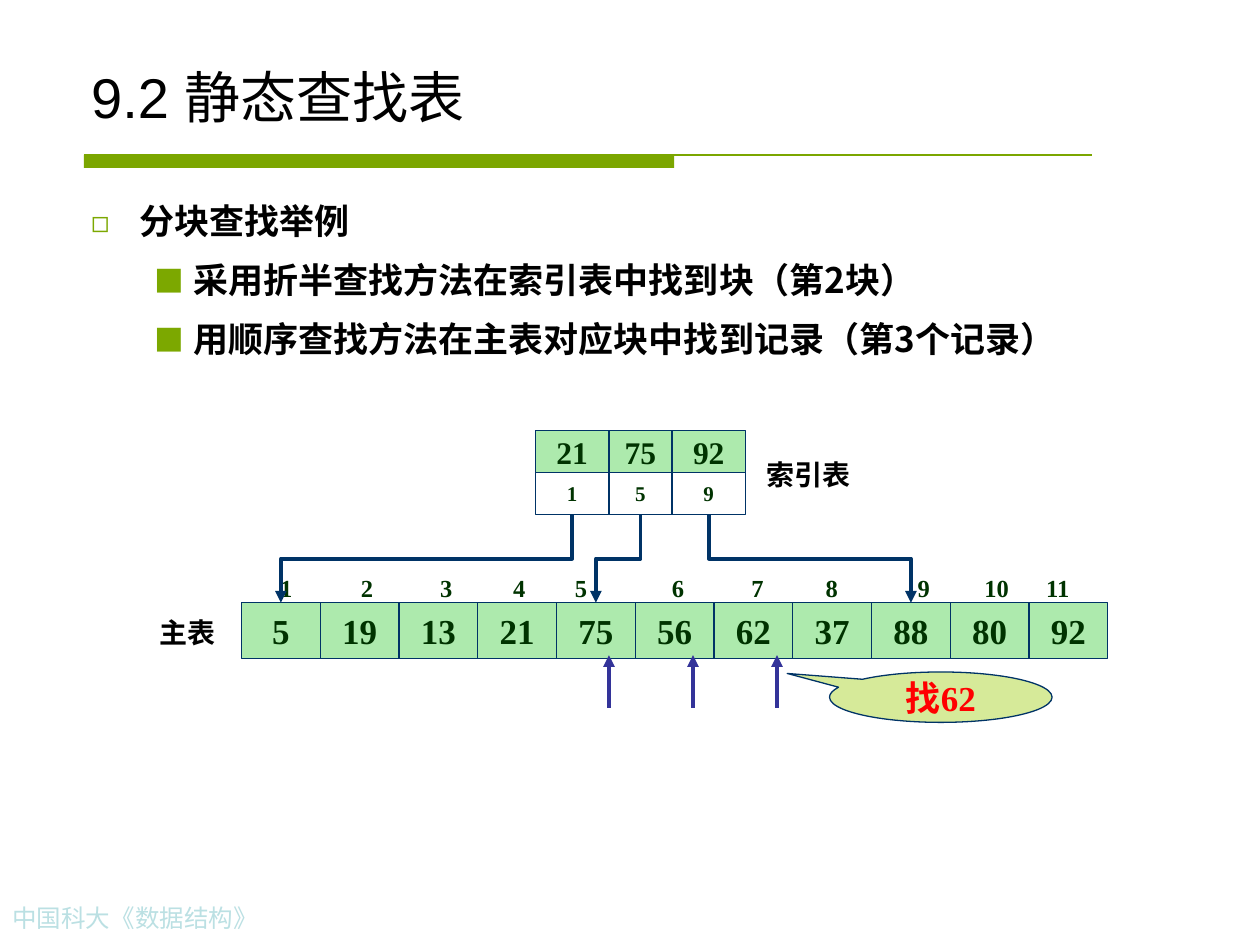
from dataclasses import dataclass

from lxml import etree
from pptx import Presentation
from pptx import util as u
from pptx.dml.color import RGBColor
from pptx.enum import shapes, text
from pptx.oxml import ns


@dataclass(frozen=True)
class Theme:
    rule: str = "7BA600"
    bullet: str = "7CA800"
    footer: str = "BBE0E3"
    ink: str = "000000"
    value: str = "003300"
    border: str = "003366"
    cell: str = "33CC33"
    callout: str = "99CC00"
    target: str = "FF0000"
    probe: str = "333399"
    sans: str = "Arial"
    label: str = "Cabin"
    serif: str = "Times New Roman"
    cjk: str = "Noto Sans CJK SC"
    title_size: int = 32
    large: int = 20
    key_size: int = 18
    label_size: int = 16
    small: int = 14
    address_size: int = 12
    thin: float = 0.75
    thick: float = 2.25


@dataclass(frozen=True)
class Box:
    """Left, top, width and height in columns and rows."""
    x: float
    y: float
    w: float
    h: float


@dataclass(frozen=True)
class Style:
    size: int
    font: str
    color: str
    bold: bool = True


@dataclass(frozen=True)
class Bullet:
    text: str
    mark: str
    left: float
    hang: float
    level: int


@dataclass(frozen=True)
class IndexEntry:
    key: str
    address: int
    width: float


T = Theme()
COLS, ROWS = 120, 90
prs = Presentation()
prs.slide_width, prs.slide_height = u.Inches(10), u.Inches(7.5)
s = prs.slides.add_slide(prs.slide_layouts[6])

VALUE = Style(T.large, T.serif, T.value)
BULLETS = [
    Bullet("分块查找举例", "◻", 0.38, 0.38, 0),
    Bullet("采用折半查找方法在索引表中找到块（第2块）", "■", 0.81, 0.31, 1),
    Bullet("用顺序查找方法在主表对应块中找到记录（第3个记录）", "■", 0.81, 0.31, 1),
]
RECORDS = [5, 19, 13, 21, 75, 56, 62, 37, 88, 80, 92]
NUMBER_TABS = [0.64, 1.27, 1.85, 2.34, 3.11, 3.74, 4.33, 5.06, 5.59, 6.08]
INDEX = [IndexEntry("21", 1, 7), IndexEntry("75", 5, 6), IndexEntry("92", 9, 7)]
MAIN = Box(23, 57.4, 7.5, 5.3)
INDEX_X, INDEX_Y, INDEX_H = 51, 41, 4
PROBES = [58, 66, 74]


def col(n: float) -> int:
    return round(prs.slide_width * n / COLS)


def row(n: float) -> int:
    return round(prs.slide_height * n / ROWS)


def place(b: Box) -> tuple[int, int, int, int]:
    return col(b.x), row(b.y), col(b.w), row(b.h)


def child(parent, tag: str, **attrs):
    return etree.SubElement(parent, ns.qn(tag), **attrs)


def style_paragraph(p, st: Style) -> None:
    for r in p.runs:
        f = r.font
        f.size, f.name, f.bold = u.Pt(st.size), st.font, st.bold
        f.color.rgb = RGBColor.from_string(st.color)
        child(r._r.get_or_add_rPr(), "a:ea", typeface=T.cjk)


def add_text(b: Box, content: str, st: Style, center: bool = False, inset: float = 0.1):
    tf = s.shapes.add_textbox(*place(b)).text_frame
    tf.word_wrap = True
    tf.margin_left = tf.margin_right = u.Inches(inset)
    tf.text = content
    for p in tf.paragraphs:
        if center:
            p.alignment = text.PP_ALIGN.CENTER
        style_paragraph(p, st)
    return tf


def add_bullets(b: Box, items: list[Bullet]) -> None:
    tf = add_text(b, "\n".join(i.text for i in items), Style(T.large, T.cjk, T.ink))
    for n, (p, item) in enumerate(zip(tf.paragraphs, items)):
        pPr = p._p.get_or_add_pPr()
        pPr.set("marL", str(u.Inches(item.left)))
        pPr.set("indent", str(-u.Inches(item.hang)))
        child(child(pPr, "a:buClr"), "a:srgbClr", val=T.bullet)
        child(pPr, "a:buSzPct", val="85000")
        child(pPr, "a:buFont", typeface=T.cjk)
        child(pPr, "a:buChar", char=item.mark)
        p.level = item.level
        p.line_spacing = 1.2
        if n:
            p.space_before = u.Pt(5)


def add_cell(b: Box, content: str, st: Style, fill: str | None = None,
             kind=shapes.MSO_SHAPE.RECTANGLE):
    """Draw an outlined shape with centred text and an optional 40% opaque fill."""
    sp = s.shapes.add_shape(kind, *place(b))
    sp.shadow.inherit = False
    if fill:
        sp.fill.solid()
        sp.fill.fore_color.rgb = RGBColor.from_string(fill)
        child(sp._element.spPr.find(".//" + ns.qn("a:srgbClr")), "a:alpha", val="40000")
    else:
        sp.fill.background()
    sp.line.color.rgb = RGBColor.from_string(T.border)
    sp.line.width = u.Pt(T.thin)
    tf = sp.text_frame
    tf.word_wrap = False
    tf.vertical_anchor = text.MSO_ANCHOR.MIDDLE
    tf.text = content
    tf.paragraphs[0].alignment = text.PP_ALIGN.CENTER
    style_paragraph(tf.paragraphs[0], st)
    return sp


def add_line(x1: float, y1: float, x2: float, y2: float, color: str, width: float,
             arrow: bool = True, kind=shapes.MSO_CONNECTOR.STRAIGHT):
    c = s.shapes.add_connector(kind, col(x1), row(y1), col(x2), row(y2))
    c.line.color.rgb = RGBColor.from_string(color)
    c.line.width = u.Pt(width)
    if arrow:
        child(c.line._get_or_add_ln(), "a:tailEnd", type="triangle")
    child(c._element.spPr, "a:effectLst")
    return c


def add_drop(x1: float, y1: float, x2: float, y2: float) -> None:
    """Draw an elbow arrow that leaves and arrives vertically: a turned elbow."""
    mx, my = (x1 + x2) / 2, (y1 + y2) / 2
    along, across = (y2 - y1) / 2, abs(x2 - x1) / 2
    side = 1 if x2 < x1 else -1
    c = add_line(mx - side * along, my - across, mx + side * along, my + across,
                 T.border, T.thick, kind=shapes.MSO_CONNECTOR.ELBOW)
    c._element.spPr.xfrm.set("rot", str((90 if side > 0 else 270) * 60000))


bar = s.shapes.add_shape(shapes.MSO_SHAPE.RECTANGLE, *place(Box(8, 14.75, 56.2, 1.25)))
bar.shadow.inherit = False
bar.fill.solid()
bar.fill.fore_color.rgb = RGBColor.from_string(T.rule)
bar.line.fill.background()
add_line(8, 14.75, 104, 14.75, T.rule, T.thin, arrow=False)
add_text(Box(0, 85.4, 37.3, 4.1), "中国科大《数据结构》",
         Style(T.small, T.serif, T.footer, False))
title = add_text(Box(7.5, 4, 105, 8.9), "9.2 静态查找表",
                 Style(T.title_size, T.sans, T.ink, False))
title.vertical_anchor = text.MSO_ANCHOR.BOTTOM
add_bullets(Box(7.5, 17.6, 105, 21.4), BULLETS)

numbers = add_text(Box(25.5, 54, 78.5, 4.1),
                   "\t".join(str(n + 1) for n in range(len(RECORDS))),
                   Style(T.small, T.serif, T.value))
tabs = child(numbers.paragraphs[0]._p.get_or_add_pPr(), "a:tabLst")
for pos in NUMBER_TABS:
    child(tabs, "a:tab", pos=str(u.Inches(pos)), algn="l")

for n, record in enumerate(RECORDS):
    add_cell(Box(MAIN.x + n * MAIN.w, MAIN.y, MAIN.w, MAIN.h), str(record), VALUE, T.cell)

x = INDEX_X
for entry in INDEX:
    add_cell(Box(x, INDEX_Y, entry.width, INDEX_H), entry.key,
             Style(T.key_size, T.serif, T.value), T.cell)
    add_cell(Box(x, INDEX_Y + INDEX_H, entry.width, INDEX_H), str(entry.address),
             Style(T.address_size, T.serif, T.value))
    add_drop(x + entry.width / 2, INDEX_Y + 2 * INDEX_H,
             MAIN.x + (entry.address - 0.5) * MAIN.w, MAIN.y)
    x += entry.width

LABEL = Style(T.label_size, T.label, T.ink)
add_text(Box(14, 58, 8, 4.4), "主表", LABEL)
add_text(Box(71, 43, 12, 4.4), "索引表", LABEL, center=True, inset=0)

callout = add_cell(Box(79, 64, 21.2, 4.8), "找62", Style(T.large, T.serif, T.target),
                   T.callout, shapes.MSO_SHAPE.OVAL_CALLOUT)
callout.adjustments[0], callout.adjustments[1] = -0.69, -0.47
for x in PROBES:
    add_line(x, 67.4, x, 62.4, T.probe, T.thick)

prs.save("out.pptx")
